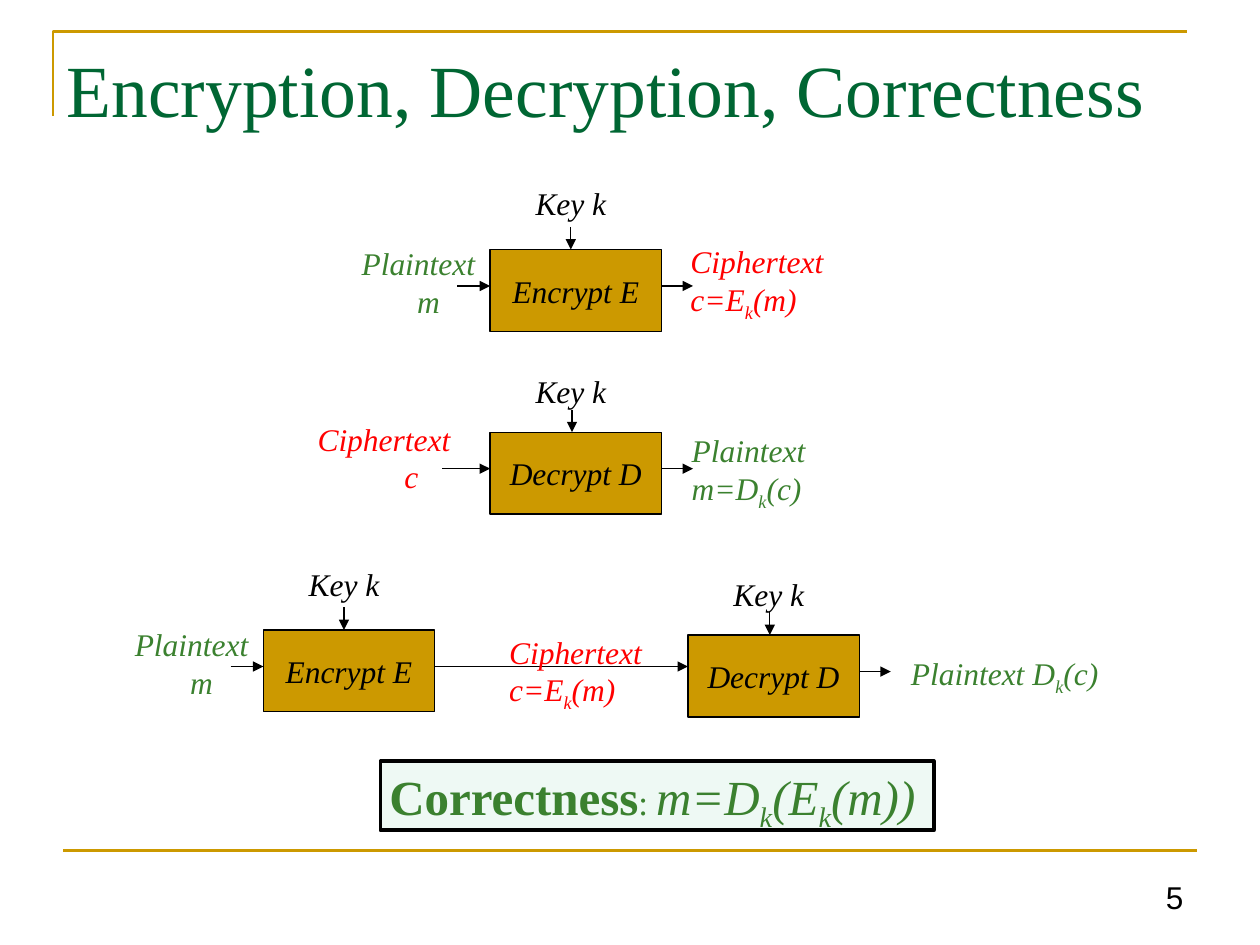
from lxml.etree import SubElement
from pptx import Presentation
from pptx.dml.color import RGBColor
from pptx.enum.shapes import MSO_CONNECTOR, MSO_SHAPE
from pptx.enum.text import MSO_ANCHOR as Anchor, MSO_AUTO_SIZE as AutoSize, PP_ALIGN as Align
from pptx.oxml.ns import qn
from pptx.util import Inches, Pt

COLORS = {"gold": "CC9900", "black": "000000", "plain": "3B812F",
          "cipher": "FF0000", "title": "006633", "mint": "EEF9F4"}
SERIF = "Times New Roman"
COLS, ROWS = 100, 75
BOX_W, BOX_H = 13.6, 6.5
ARROW_Y = 2.9  # rows below a box's top where its input and output run


def rgb(name):
    return RGBColor.from_string(COLORS[name])


class Board:
    """Draws on one slide, measured in columns and rows of its grid."""

    def __init__(self, prs):
        self.s = prs.slides.add_slide(prs.slide_layouts[5])
        self.col = prs.slide_width / COLS
        self.row = prs.slide_height / ROWS

    def at(self, x, y):
        return round(x * self.col), round(y * self.row)

    def area(self, x, y, w, h):
        return *self.at(x, y), *self.at(w, h)

    def runs(self, p, text, color="black", size=18, italic=True, bold=False, font=SERIF):
        """Add text to a paragraph; a part between underscores is a subscript."""
        for i, part in enumerate(text.split("_")):
            if not part:
                continue
            r = p.add_run()
            r.text = part
            r.font.name, r.font.size = font, Pt(size)
            r.font.italic, r.font.bold = italic, bold
            r.font.color.rgb = rgb(color)
            if i % 2:
                r._r.get_or_add_rPr().set("baseline", "-25000")

    def frame(self, sp, anchor=Anchor.TOP, auto_size=AutoSize.NONE):
        tf = sp.text_frame
        tf.word_wrap, tf.auto_size, tf.vertical_anchor = False, auto_size, anchor
        tf.margin_left = tf.margin_right = Inches(0.07)
        tf.margin_top = tf.margin_bottom = Inches(0.04)
        return tf

    def title(self, text, *area):
        sp = self.s.shapes.title
        sp.left, sp.top, sp.width, sp.height = self.area(*area)
        tf = sp.text_frame
        tf.vertical_anchor, tf.auto_size = Anchor.TOP, AutoSize.NONE
        p = tf.paragraphs[0]
        p.alignment = Align.LEFT
        self.runs(p, text, "title", 42, italic=False)

    def label(self, x, y, w, lines, color="black", indent=0):
        """Place a label; indent shifts its second line, in inches."""
        h = 3.8 if len(lines) == 1 else 6.8
        tf = self.frame(self.s.shapes.add_textbox(*self.area(x, y, w, h)),
                        auto_size=AutoSize.SHAPE_TO_FIT_TEXT)
        for i, line in enumerate(lines):
            p = tf.add_paragraph() if i else tf.paragraphs[0]
            self.runs(p, line, color)
            if i and indent:
                p._p.get_or_add_pPr().set("marL", str(Inches(indent)))

    def box(self, x, y, w, h, fill, line_width):
        sp = self.s.shapes.add_shape(MSO_SHAPE.RECTANGLE, *self.area(x, y, w, h))
        sp.shadow.inherit = False
        sp.fill.solid()
        sp.fill.fore_color.rgb = rgb(fill)
        sp.line.color.rgb = rgb("black")
        sp.line.width = Pt(line_width)
        return sp

    def line(self, x1, y1, x2, y2, color="black", width=0.75, arrow=True):
        c = self.s.shapes.add_connector(MSO_CONNECTOR.STRAIGHT,
                                        *self.at(x1, y1), *self.at(x2, y2))
        c.line.color.rgb = rgb(color)
        c.line.width = Pt(width)
        if arrow:
            SubElement(c.line._get_or_add_ln(), qn("a:tailEnd"), type="triangle")
        SubElement(c._element.spPr, qn("a:effectLst"))

    def cipher_step(self, name, x, y, key_rise, key_x, lead, out=2.5):
        """A cipher box with its key above, an arrow in and an arrow out."""
        tf = self.frame(self.box(x, y, BOX_W, BOX_H, "gold", 0.75), Anchor.MIDDLE)
        p = tf.paragraphs[0]
        p.alignment = Align.CENTER
        self.runs(p, name)
        self.label(x + 2.9, y - key_rise, 7.2, ["Key k"])
        self.line(x + key_x, y - 1.8, x + key_x, y)
        mid = y + ARROW_Y
        if lead:
            self.line(x - lead, mid, x, mid)
        self.line(x + BOX_W, mid, x + BOX_W + out, mid)

    def encrypt(self, x, y, out=2.5):
        self.cipher_step("Encrypt E", x, y, 5.6, 6.4, 2.6, out)
        self.label(x - 10.9, y - 0.8, 10.6, ["Plaintext", "m"], "plain", indent=0.44)

    def decrypt(self, x, y, lead):
        self.cipher_step("Decrypt D", x, y, 5.2, 6.5, lead)

    def corner(self, x, y, w, h, color):
        fb = self.s.shapes.build_freeform(*self.at(x, y + h))
        fb.add_line_segments([self.at(x, y), self.at(x + w, y)], close=False)
        sp = fb.convert_to_shape()
        sp.shadow.inherit = False
        sp.fill.background()
        sp.line.color.rgb = rgb(color)
        sp.line.width = Pt(1.5)

    def correctness(self, *area):
        sp = self.box(*area, "mint", 2.25)
        p = self.frame(sp, auto_size=AutoSize.SHAPE_TO_FIT_TEXT).paragraphs[0]
        p.alignment = Align.LEFT
        self.runs(p, "Correctness", "plain", 28, italic=False, bold=True)
        self.runs(p, ":", "plain", 20, italic=False)
        self.runs(p, " ", "plain", 18, italic=False)
        self.runs(p, "m=D_k_(E_k_(m))", "plain", 28)

    def page_number(self, text, *area):
        tf = self.s.shapes.add_textbox(*self.area(*area)).text_frame
        tf.word_wrap, tf.vertical_anchor = True, Anchor.BOTTOM
        p = tf.paragraphs[0]
        p.alignment = Align.RIGHT
        self.runs(p, text, italic=False, font="Arial")


def main():
    prs = Presentation()
    prs.slide_width, prs.slide_height = Inches(10), Inches(7.5)
    board = Board(prs)
    ciphertext = ["Ciphertext", "c=E_k_(m)"]

    board.corner(4.2, 2.5, 90, 6.7, "gold")
    board.line(5, 67.5, 95, 67.5, "gold", 1.5, arrow=False)
    board.title("Encryption, Decryption, Correctness", 4.3, 3, 90.7, 15)

    # Encryption alone
    board.encrypt(38.9, 19.8)
    board.label(54.1, 18.8, 12.1, ciphertext, "cipher")

    # Decryption alone
    board.decrypt(38.9, 34.3, lead=3.8)
    board.label(24.5, 32.9, 12.1, ["Ciphertext", "c"], "cipher", indent=0.69)
    board.label(54.2, 33.8, 10.6, ["Plaintext", "m=D_k_(c)"], "plain")

    # Encryption followed by decryption
    board.encrypt(20.9, 50, out=20.1)
    board.decrypt(54.6, 50.4, lead=0)
    board.label(39.7, 49.8, 12.1, ciphertext, "cipher")
    board.label(71.6, 51.5, 16.6, ["Plaintext D_k_(c)"], "plain")

    board.correctness(30.2, 60.4, 43.9, 5.5)
    board.page_number("5", 89.3, 68.3, 5.6, 4.9)
    prs.save("out.pptx")


if __name__ == "__main__":
    main()
